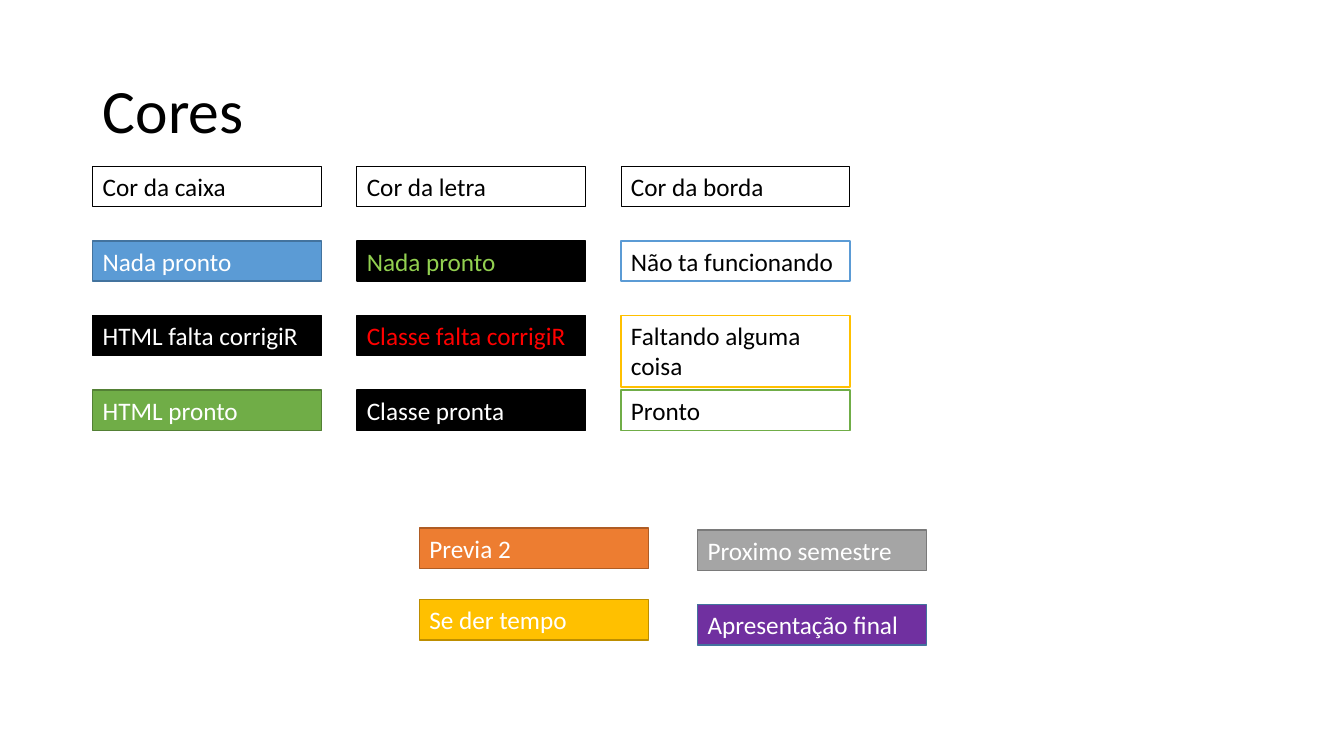
from pptx import Presentation
from pptx import util as u
from pptx.dml.color import RGBColor
from pptx.enum import shapes, text

COLORS = {
    "black": "000000", "white": "FFFFFF", "blue": "5B9BD5", "dark_blue": "43739E",
    "green": "70AD47", "dark_green": "538035", "lime": "92D050", "red": "FF0000",
    "gold": "FFC000", "dark_gold": "BD8E00", "orange": "ED7D31",
    "dark_orange": "AF5C24", "gray": "A5A5A5", "dark_gray": "7A7A7A",
    "purple": "7030A0",
}
BOX_W, BOX_H, TALL_H = 2.27, 0.4, 0.71
GRID_LEFT, GRID_TOP, COL_STEP, ROW_STEP = 0.92, 1.65, 2.62, 0.74

# Each column: heading, then (label, fill, border, letter colour) per state
COLUMNS = [
    ("Cor da caixa", [
        ("Nada pronto", "blue", "dark_blue", "white"),
        ("HTML falta corrigiR", "black", "black", "white"),
        ("HTML pronto", "green", "dark_green", "white")]),
    ("Cor da letra", [
        ("Nada pronto", "black", "black", "lime"),
        ("Classe falta corrigiR", "black", "black", "red"),
        ("Classe pronta", "black", "black", "white")]),
    ("Cor da borda", [
        ("Não ta funcionando", "white", "blue", "black"),
        ("Faltando alguma coisa", "white", "gold", "black"),
        ("Pronto", "white", "green", "black")]),
]
TWO_LINE_LABELS = {"Faltando alguma coisa"}

# Deadline boxes: left, top, label, fill, border
DEADLINES = [
    (4.16, 5.24, "Previa 2", "orange", "dark_orange"),
    (4.16, 5.95, "Se der tempo", "gold", "dark_gold"),
    (6.92, 5.26, "Proximo semestre", "gray", "dark_gray"),
    (6.92, 6.0, "Apresentação final", "purple", "dark_blue"),
]


def rgb(name):
    """Return the named colour."""
    return RGBColor.from_string(COLORS[name])


class Deck:
    """Holds the text style and the current slide."""

    def __init__(self, prs, font="Calibri", size=18):
        """Add a title-only slide to the presentation."""
        self.s = prs.slides.add_slide(prs.slide_layouts[5])
        self.font, self.size = font, size

    def add_label(self, tf, label, color, size=None):
        """Add one left-aligned run and return its paragraph."""
        tf.word_wrap = True
        p = tf.paragraphs[0]
        p.alignment = text.PP_ALIGN.LEFT
        r = p.add_run()
        r.text = label
        r.font.name = self.font
        r.font.size = u.Pt(size or self.size)
        r.font.color.rgb = rgb(color)
        return p

    def title(self, label):
        """Place and fill the title placeholder."""
        sp = self.s.shapes.title
        sp.left, sp.top = u.Inches(0.92), u.Inches(0.4)
        sp.width, sp.height = u.Inches(11.5), u.Inches(1.45)
        tf = sp.text_frame
        tf.vertical_anchor = text.MSO_ANCHOR.MIDDLE
        self.add_label(tf, label, "black", 44).line_spacing = 0.9

    def box(self, left, top, label, fill, border, color, weight=1):
        """Draw a labelled rectangle; a fill of None leaves it empty."""
        height = TALL_H if label in TWO_LINE_LABELS else BOX_H
        sp = self.s.shapes.add_shape(
            shapes.MSO_SHAPE.RECTANGLE, u.Inches(left), u.Inches(top),
            u.Inches(BOX_W), u.Inches(height))
        sp.shadow.inherit = False
        if fill:
            sp.fill.solid()
            sp.fill.fore_color.rgb = rgb(fill)
        else:
            sp.fill.background()
        sp.line.color.rgb = rgb(border)
        sp.line.width = u.Pt(weight)
        tf = sp.text_frame
        tf.vertical_anchor = text.MSO_ANCHOR.TOP
        tf.auto_size = text.MSO_AUTO_SIZE.SHAPE_TO_FIT_TEXT
        self.add_label(tf, label, color)


prs = Presentation()
prs.slide_width, prs.slide_height = u.Inches(13.33), u.Inches(7.5)
deck = Deck(prs)
deck.title("Cores")

for col, (heading, states) in enumerate(COLUMNS):
    left = GRID_LEFT + col * COL_STEP
    deck.box(left, GRID_TOP, heading, None, "black", "black", 0.75)
    for row, state in enumerate(states, start=1):
        deck.box(left, GRID_TOP + row * ROW_STEP, *state)

for left, top, label, fill, border in DEADLINES:
    deck.box(left, top, label, fill, border, "white")

prs.save("out.pptx")
